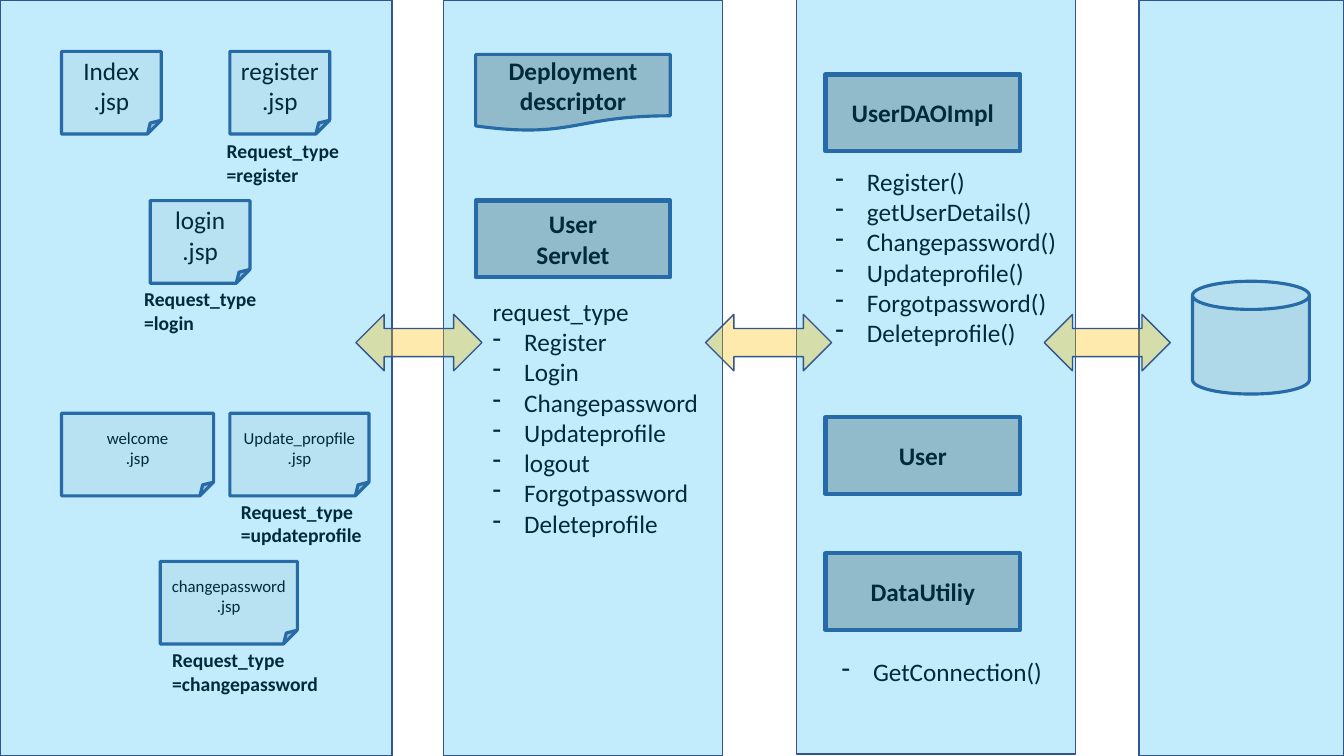
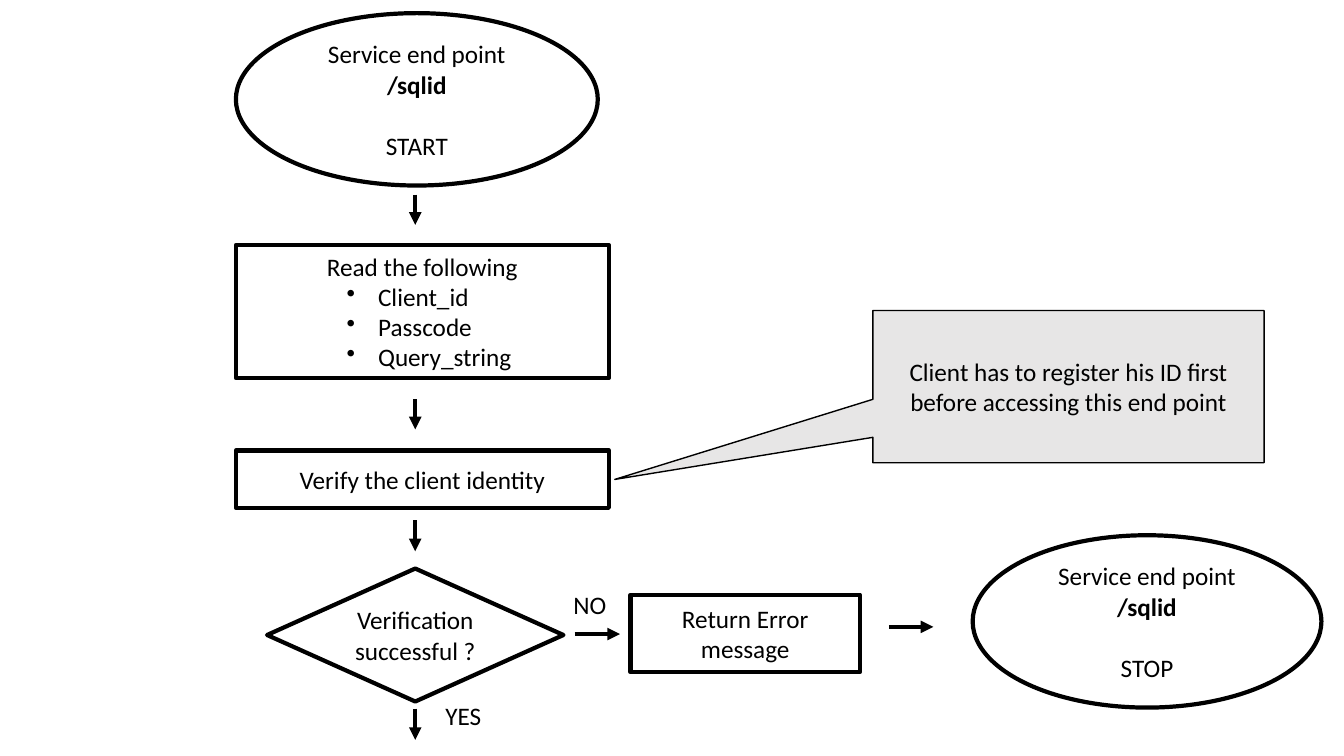
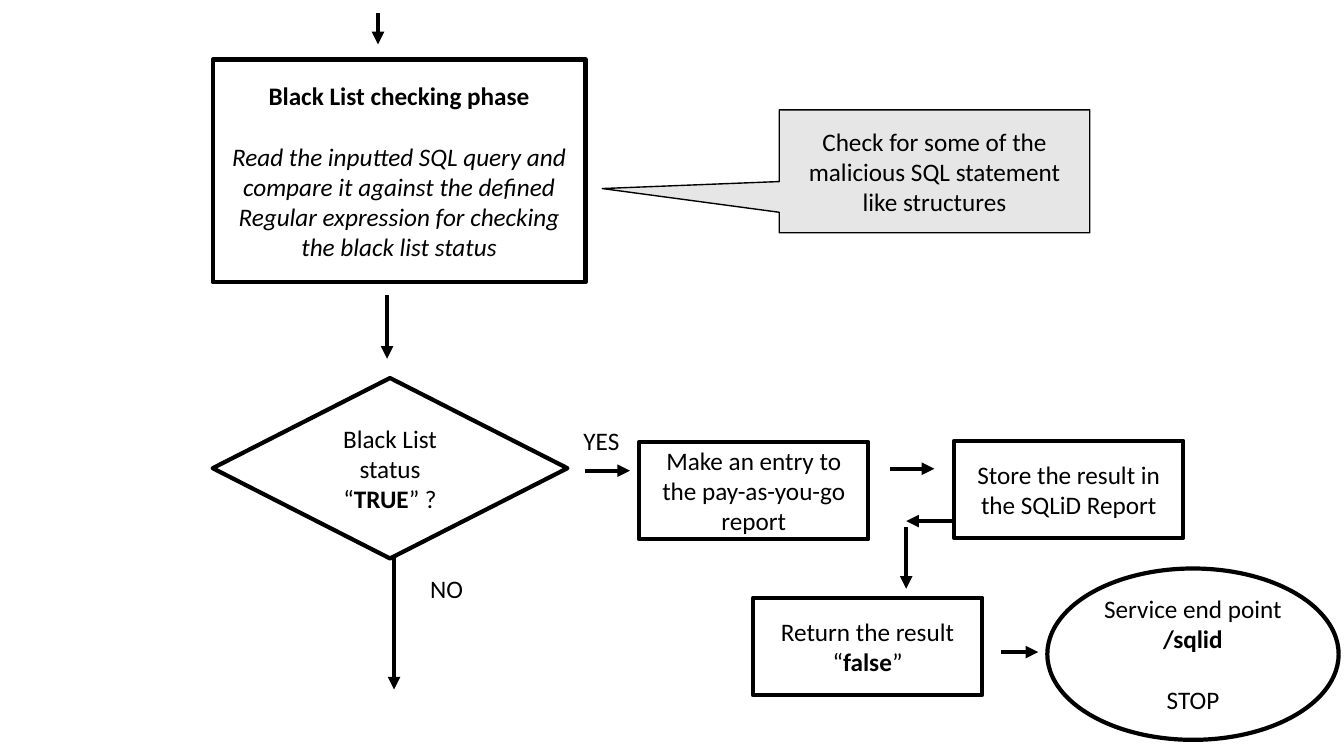
"""Build three slides: the layers of a user web application and a two-part SQL check flow."""
from dataclasses import dataclass

from lxml.etree import SubElement
from pptx import Presentation
from pptx.dml.color import RGBColor
from pptx.enum.shapes import MSO_CONNECTOR, MSO_SHAPE
from pptx.enum.text import MSO_ANCHOR, PP_ALIGN
from pptx.oxml.ns import qn
from pptx.util import Pt


@dataclass(frozen=True)
class Theme:
    font: str = "Calibri"
    ink: str = "000000"
    paper: str = "FFFFFF"
    edge: str = "325491"
    component: str = "BFBFBF"
    page: str = "F2F2F2"
    note: str = "E7E6E6"
    layer: str = "00B0F0"
    exchange: str = "FFC000"
    body: int = 18
    caption: int = 14
    small: int = 12
    thin: float = 1
    medium: float = 2.25
    thick: float = 3
    blank_line: int = 22


THEME = Theme()


def write(shape, lines, size=THEME.body, bold=False, align=PP_ALIGN.LEFT, wrap=True, indent=22.5):
    """Fill a shape with lines; "- " or "• " starts a bullet and asterisks enclose bold words."""
    frame = shape.text_frame
    frame.word_wrap = wrap
    for index, line in enumerate(lines):
        paragraph = frame.add_paragraph() if index else frame.paragraphs[0]
        paragraph.alignment = align
        if line[:2] in ("- ", "• "):
            paragraph.alignment = PP_ALIGN.LEFT
            properties = paragraph._p.get_or_add_pPr()
            properties.set("marL", str(Pt(indent)))
            properties.set("indent", str(-Pt(22.5)))
            SubElement(properties, qn("a:buChar")).set("char", line[0])
            line = line[2:]
        for part, words in enumerate(line.split("*")):
            if words:
                run = paragraph.add_run()
                run.text = words
                format_values = {"name": THEME.font, "size": Pt(size), "bold": bold or part % 2 == 1}
                for attribute, value in format_values.items():
                    setattr(run.font, attribute, value)
                run.font.color.rgb = RGBColor.from_string(THEME.ink)


def draw(slide, preset, place, fill, edge, weight, lines=(), alpha=None, **text_format):
    """Add a filled, outlined preset shape with centred text."""
    shape = slide.shapes.add_shape(preset, *map(Pt, place))
    shape.shadow.inherit = False
    shape.fill.solid()
    shape.fill.fore_color.rgb = RGBColor.from_string(fill)
    shape.line.color.rgb = RGBColor.from_string(edge)
    shape.line.width = Pt(weight)
    if alpha:
        tint = shape._element.spPr.find(".//" + qn("a:srgbClr"))
        SubElement(tint, qn("a:alpha")).set("val", str(alpha * 1000))
    shape.text_frame.vertical_anchor = MSO_ANCHOR.MIDDLE
    write(shape, lines, align=PP_ALIGN.CENTER, **text_format)
    return shape


deck = Presentation()
deck.slide_width, deck.slide_height = Pt(960), Pt(540)
layers, verification, black_list = [deck.slides.add_slide(deck.slide_layouts[6]) for _ in range(3)]

components = [
    (339.8, 143.3, ["User", "Servlet"]),
    (589.7, 53.3, ["UserDAOImpl"]),
    (589.7, 298.1, ["User"]),
    (589.7, 395.3, ["DataUtiliy"]),
]
for left, top, lines in components:
    draw(layers, MSO_SHAPE.RECTANGLE, (left, top, 139, 54.7),
         THEME.component, THEME.edge, THEME.thick, lines, bold=True)

draw(layers, MSO_SHAPE.CAN, (851.8, 200.9, 83.5, 80.6), THEME.note, THEME.edge, THEME.medium)

pages = [
    (43.9, 36.7, 71.3, "Index", THEME.body),
    (164.2, 36.7, 71.3, "register", THEME.body),
    (107.3, 143.3, 71.3, "login", THEME.body),
    (43.9, 295.2, 108.7, "welcome", THEME.small),
    (164.2, 295.2, 99.4, "Update_propfile", THEME.small),
    (114.5, 401, 97.9, "changepassword", THEME.small),
]
for left, top, width, page, size in pages:
    draw(layers, MSO_SHAPE.FOLDED_CORNER, (left, top, width, 59),
         THEME.page, THEME.edge, THEME.medium, [page, ".jsp"], size=size)

draw(layers, MSO_SHAPE.FLOWCHART_DOCUMENT, (339.8, 38.9, 139, 54.7),
     THEME.component, THEME.edge, THEME.medium, ["Deployment descriptor"], bold=True)

operations = [
    ((344.9, 208.1, 162.7, 203.8),
     ["request_type", "- Register", "- Login", "- Changepassword", "- Updateprofile",
      "- logout", "- Forgotpassword", "- Deleteprofile"]),
    ((589.7, 115.2, 215.3, 159.8),
     ["- Register()", "- getUserDetails()", "- Changepassword()", "- Updateprofile()",
      "- Forgotpassword()", "- Deleteprofile()"]),
    ((594, 465.1, 159.8, 28.8), ["- GetConnection()"]),
]
for place, lines in operations:
    write(layers.shapes.add_textbox(*map(Pt, place)), lines)

requests = [
    (154.8, 95.8, 95, "register"),
    (95.8, 201.6, 95, "login"),
    (164.9, 353.5, 101.5, "updateprofile"),
    (115.9, 459.4, 119.5, "changepassword"),
]
for left, top, width, request in requests:
    caption = layers.shapes.add_textbox(Pt(left), Pt(top), Pt(width), Pt(41))
    write(caption, ["Request_type", "=" + request], THEME.caption, bold=True, wrap=False)

for left, top, width in [(0, 0, 280.1), (316.8, 0, 199.4), (568.8, -1.4, 199.4), (813.6, 0, 146.2)]:
    draw(layers, MSO_SHAPE.RECTANGLE, (left, top, width, 540),
         THEME.layer, THEME.edge, THEME.thin, alpha=24)

for left in (254.2, 504, 745.9):
    draw(layers, MSO_SHAPE.LEFT_RIGHT_ARROW, (left, 224.6, 90, 40.3),
         THEME.exchange, THEME.edge, THEME.thin, alpha=32)

steps = [
    (verification, MSO_SHAPE.RECTANGLE, (168.5, 175, 266.4, 95),
     ["Read the following", "• Client_id", "• Passcode", "• Query_string"]),
    (verification, MSO_SHAPE.FLOWCHART_DECISION, (190.8, 406.1, 211.7, 95),
     ["Verification successful ?"]),
    (verification, MSO_SHAPE.RECTANGLE, (168.5, 321.8, 266.4, 41), ["Verify the client identity"]),
    (verification, MSO_SHAPE.RECTANGLE, (450.4, 424.8, 163.8, 55.4), ["Return Error message"]),
    (black_list, MSO_SHAPE.FLOWCHART_DECISION, (151.9, 270, 253.4, 128.9),
     ["Black List status “*TRUE*” ?"]),
    (black_list, MSO_SHAPE.RECTANGLE, (456.5, 315.7, 163.8, 69.5),
     ["Make an entry to the pay-as-you-go report"]),
    (black_list, MSO_SHAPE.RECTANGLE, (681.5, 314.9, 163.8, 69.5),
     ["Store the result in the SQLiD Report"]),
    (black_list, MSO_SHAPE.RECTANGLE, (537.8, 427, 163.8, 69.5), ["Return the result “*false*”"]),
]
for slide, preset, place, lines in steps:
    draw(slide, preset, place, THEME.paper, THEME.ink, THEME.thick, lines, indent=94.5)

endpoints = [
    (verification, (168.5, 9.4, 258.5, 123.1), "START"),
    (verification, (694.8, 382.3, 249.1, 123.1), "STOP"),
    (black_list, (748.1, 406.1, 208.1, 122.4), "STOP"),
]
for slide, place, state in endpoints:
    endpoint = draw(slide, MSO_SHAPE.OVAL, place, THEME.paper, THEME.ink, THEME.thick,
                    ["Service end point", "*/sqlid*", state])
    endpoint.text_frame.paragraphs[-1].space_before = Pt(THEME.blank_line)

checking_phase = draw(
    black_list, MSO_SHAPE.RECTANGLE, (151.9, 42.5, 266.4, 159.1), THEME.paper, THEME.ink, THEME.thick,
    ["*Black List checking phase*",
     "Read the inputted SQL query and compare it against the defined "
     "Regular expression for checking the black list status"])
explanation = checking_phase.text_frame.paragraphs[-1]
explanation.space_before = Pt(THEME.blank_line)
explanation.runs[0].font.italic = True

notes = [
    (verification, (623.5, 221.8, 279.4, 108.7), (-1.16, 0.61),
     "Client has to register his ID first before accessing this end point"),
    (black_list, (556.6, 78.5, 221.8, 87.8), (-1.07, 0.14),
     "Check for some of the malicious SQL statement like structures"),
]
for slide, place, tip, remark in notes:
    note = draw(slide, MSO_SHAPE.RECTANGULAR_CALLOUT, place,
                THEME.note, THEME.ink, THEME.thin, [remark])
    note.adjustments[0], note.adjustments[1] = tip

answers = [
    (verification, 402.5, 417.6, 38.2, "NO"),
    (verification, 311, 496.8, 40.3, "YES"),
    (black_list, 409.7, 300.2, 40.3, "YES"),
    (black_list, 300.2, 406.1, 38.2, "NO"),
]
for slide, left, top, width, answer in answers:
    write(slide.shapes.add_textbox(Pt(left), Pt(top), Pt(width), Pt(28.8)), [answer], wrap=False)

flows = [
    (verification, 296.6, 139, 296.6, 160.6),
    (verification, 296.6, 285.1, 296.6, 306.7),
    (verification, 296.6, 371.5, 296.6, 393.8),
    (verification, 296.6, 506.2, 296.6, 528.5),
    (verification, 410.4, 452.9, 442.8, 452.9),
    (verification, 635, 447.8, 666.7, 447.8),
    (black_list, 270, 9.4, 270, 31.7),
    (black_list, 276.5, 211, 276.5, 256.3),
    (black_list, 281.5, 398.9, 281.5, 492.5),
    (black_list, 417.6, 336.2, 450, 336.2),
    (black_list, 635.8, 334.8, 667.4, 334.8),
    (black_list, 647.3, 376.6, 647.3, 420.5),
    (black_list, 715, 465.8, 741.6, 465.8),
    (black_list, 681.8, 372.2, 647.3, 372.2),
]
for slide, *ends in flows:
    flow = slide.shapes.add_connector(MSO_CONNECTOR.STRAIGHT, *map(Pt, ends))
    flow.line.color.rgb = RGBColor.from_string(THEME.ink)
    flow.line.width = Pt(THEME.thick)
    outline = flow._element.spPr.find(qn("a:ln"))
    SubElement(outline, qn("a:tailEnd")).set("type", "triangle")
    SubElement(flow._element.spPr, qn("a:effectLst"))

deck.save("out.pptx")
